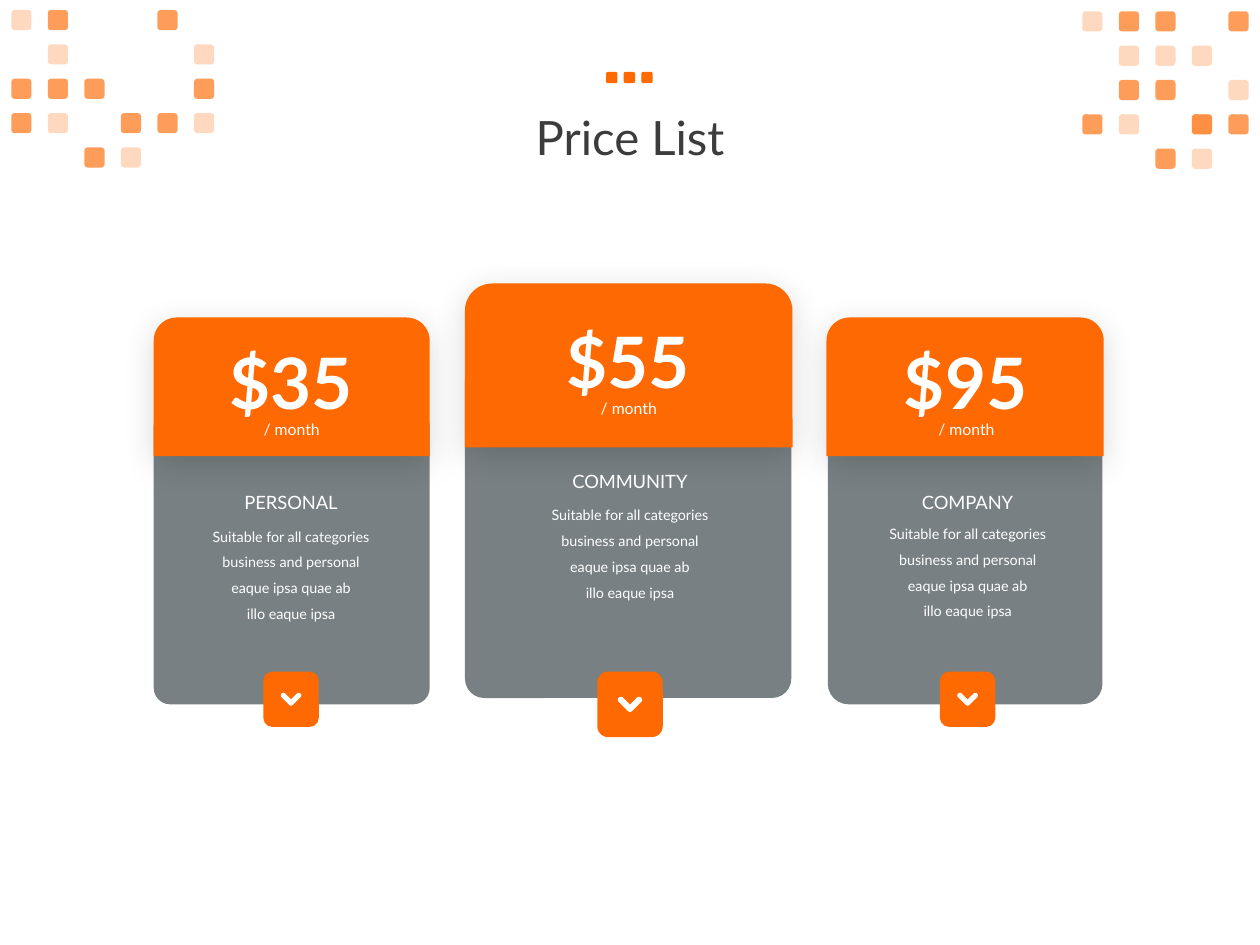
from dataclasses import dataclass
from math import cos, radians, sin, sqrt

from lxml import etree
from pptx import Presentation
from pptx.dml.color import RGBColor
from pptx.enum.shapes import MSO_SHAPE
from pptx.enum.text import MSO_ANCHOR, PP_ALIGN
from pptx.oxml.ns import qn
from pptx.util import Inches, Pt

ROUNDED = MSO_SHAPE.ROUNDED_RECTANGLE
ROUND_TOP = MSO_SHAPE.ROUND_2_SAME_RECTANGLE
CENTER = PP_ALIGN.CENTER
TOP = MSO_ANCHOR.TOP
MIDDLE = MSO_ANCHOR.MIDDLE


@dataclass(frozen=True)
class Theme:
    font: str = "Lato"
    accent: str = "FE6902"
    slate: str = "313C41"
    ink: str = "3C3C3C"
    white: str = "FFFFFF"
    shadow: str = "000000"
    title: float = 27
    price: float = 40.5
    plan: float = 10.5
    period: float = 9
    body: float = 8.2
    strong: int = 65
    faint: int = 25


@dataclass(frozen=True)
class Plan:
    name: str
    price: str
    body: tuple
    header: tuple
    corner: float
    price_axis: float
    copy_axis: float
    price_top: float
    description_top: float
    button: float


PLANS = (
    Plan("PERSONAL", "$35", (1.22, 3.25, 2.19, 2.34), (1.22, 2.52, 2.19, 1.1),
         0.059, 2.31, 2.31, 2.64, 4.08, 0.44),
    Plan("COMMUNITY", "$55", (3.69, 2.87, 2.59, 2.67), (3.69, 2.25, 2.6, 1.3),
         0.059, 4.985, 5, 2.47, 3.91, 0.52),
    Plan("COMPANY", "$95", (6.57, 3.25, 2.18, 2.34), (6.56, 2.52, 2.2, 1.1),
         0.075, 7.665, 7.68, 2.64, 4.06, 0.44),
)
DESCRIPTION = (
    "Suitable for all categories business and personal",
    "eaque ipsa quae ab",
    "illo eaque ipsa",
)
LEFT_MOSAIC = ("fs..s.", ".f...f", "sss..s", "sf.ssf", "..sf..")
RIGHT_MOSAIC = ("fss.s", ".fff.", ".ss.f", "sf.bs", "..sf.")


class SlideBuilder:
    def __init__(self, slide, theme):
        self.slide = slide
        self.theme = theme

    def paint(self, shape, color, opacity=100):
        shape.shadow.inherit = False
        shape.fill.solid()
        shape.fill.fore_color.rgb = RGBColor.from_string(color)
        shape.line.fill.background()
        if opacity < 100:
            srgb = shape.fill._xPr.find(".//" + qn("a:srgbClr"))
            etree.SubElement(srgb, qn("a:alpha"), val=str(opacity * 1000))

    def block(self, kind, box, color, opacity=100, corner=None, parent=None):
        shapes = (parent or self.slide).shapes
        shape = shapes.add_shape(kind, *map(Inches, box))
        self.paint(shape, color, opacity)
        if corner is not None:
            shape.adjustments[0] = corner
        return shape

    def soft_shadow(self, shape):
        effects = shape._element.spPr.find(qn("a:effectLst"))
        outer = etree.SubElement(
            effects, qn("a:outerShdw"), blurRad=str(Pt(19)), dist=str(Pt(4)),
            dir="5400000", algn="t", rotWithShape="0")
        color = etree.SubElement(outer, qn("a:srgbClr"), val=self.theme.shadow)
        etree.SubElement(color, qn("a:alpha"), val="15000")

    def text(self, box, lines, size, color, bold=False, spacing=1.0,
             insets=(0.07, 0.04), anchor=TOP):
        frame = self.slide.shapes.add_textbox(*map(Inches, box)).text_frame
        frame.word_wrap = True
        frame.vertical_anchor = anchor
        frame.margin_left = frame.margin_right = Inches(insets[0])
        frame.margin_top = frame.margin_bottom = Inches(insets[1])
        frame.text = "\n".join(lines)
        for paragraph in frame.paragraphs:
            paragraph.alignment = CENTER
            paragraph.line_spacing = spacing
            paragraph.font.name = self.theme.font
            paragraph.font.size = Pt(size)
            paragraph.font.bold = bold
            paragraph.font.color.rgb = RGBColor.from_string(color)

    def chevron(self, center_x, center_y, width):
        radius = width / 8
        reach = width / 2 - radius
        drop = reach / 2
        arcs = ((reach, -drop, 225, 405), (0, drop, 45, 135),
                (-reach, -drop, 135, 315))
        outline = [(0, drop - radius * sqrt(2))]
        for x, y, start, end in arcs:
            outline += [(x + radius * cos(radians(angle)),
                         y + radius * sin(radians(angle)))
                        for angle in range(start, end + 1, 15)]
        points = [(Inches(center_x + x), Inches(center_y + y))
                  for x, y in outline]
        builder = self.slide.shapes.build_freeform(*points[0])
        builder.add_line_segments(points[1:], close=True)
        self.paint(builder.convert_to_shape(), self.theme.white)

    def mosaic(self, left, top, rows):
        theme = self.theme
        layers = {".": (), "f": (theme.faint,), "s": (theme.strong,),
                  "b": (theme.strong, theme.faint)}
        group = self.slide.shapes.add_group_shape()
        for row, cells in enumerate(rows):
            for column, cell in enumerate(cells):
                box = (left + column * 0.29, top + row * 1.09 / 4, 0.16, 0.16)
                for opacity in layers[cell]:
                    self.block(ROUNDED, box, theme.accent, opacity,
                               parent=group)

    def title_dots(self):
        group = self.slide.shapes.add_group_shape()
        for index in range(3):
            self.block(ROUNDED, (4.81 + index * 0.14, 0.57, 0.09, 0.09),
                       self.theme.accent, parent=group)

    def plan_card(self, plan):
        theme = self.theme
        self.block(ROUNDED, plan.body, theme.slate, theme.strong, plan.corner)
        self.soft_shadow(self.block(ROUND_TOP, plan.header, theme.accent))
        self.text((plan.price_axis - 0.65, plan.price_top, 1.3, 0.78),
                  [plan.price], theme.price, theme.white, bold=True,
                  insets=(0.1, 0.05))
        self.text((plan.price_axis - 0.41, plan.price_top + 0.58, 0.83, 0.27),
                  ["/ month"], theme.period, theme.white, spacing=1.5)
        self.text((plan.copy_axis - 0.79, plan.description_top, 1.58, 0.88),
                  DESCRIPTION, theme.body, theme.white, spacing=1.5)
        self.text((plan.copy_axis - 0.72, plan.price_top + 1.22, 1.44, 0.25),
                  [plan.name], theme.plan, theme.white)
        side = plan.button
        self.block(ROUNDED, (plan.copy_axis - side / 2, 5.33, side, side),
                   theme.accent)
        self.chevron(plan.copy_axis, 5.33 + side / 2, side * 0.37)


def main():
    presentation = Presentation()
    presentation.slide_width = Inches(10)
    presentation.slide_height = Inches(7.5)
    theme = Theme()
    page = SlideBuilder(
        presentation.slides.add_slide(presentation.slide_layouts[6]), theme)
    page.text((0.69, 0.39, 8.62, 1.45), ["Price List"], theme.title, theme.ink,
              spacing=0.9, anchor=MIDDLE)
    for plan in PLANS:
        page.plan_card(plan)
    page.mosaic(0.09, 0.08, LEFT_MOSAIC)
    page.mosaic(8.59, 0.09, RIGHT_MOSAIC)
    page.title_dots()
    presentation.save("out.pptx")


if __name__ == "__main__":
    main()
